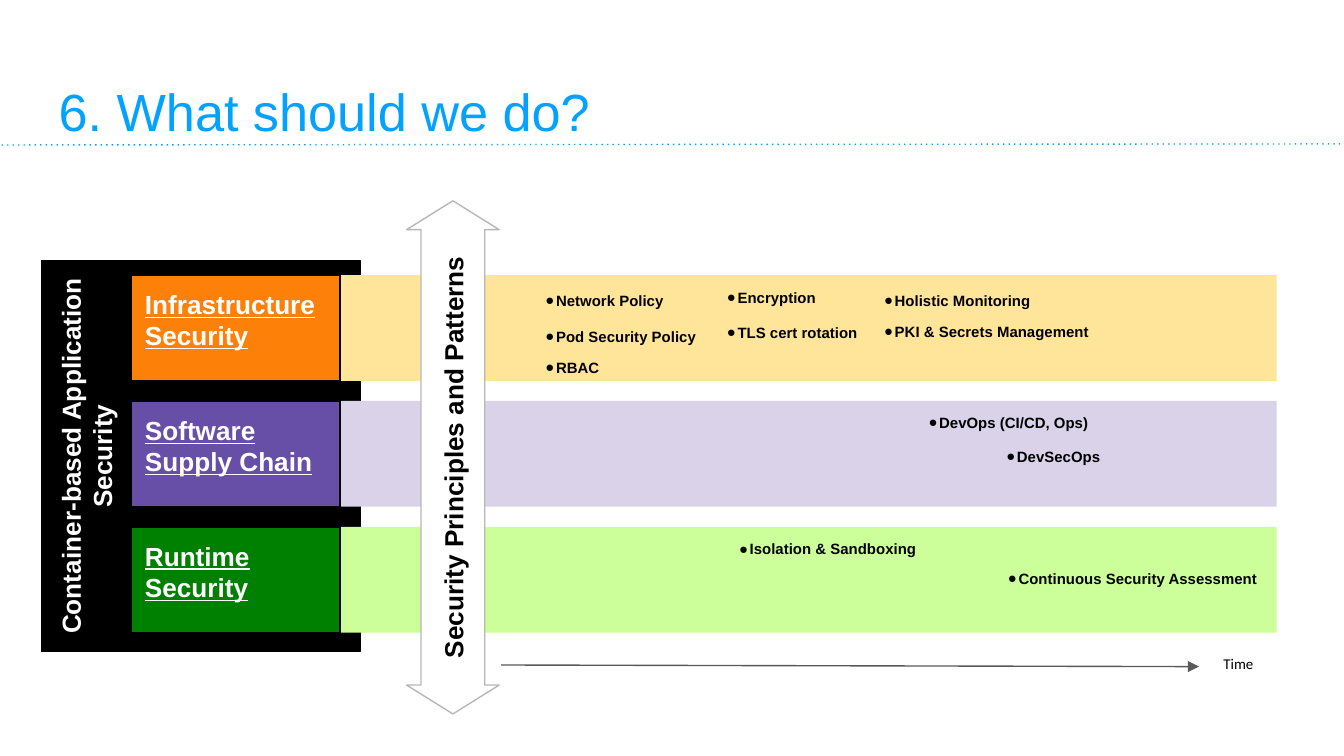
from lxml import etree
from pptx import Presentation
from pptx.dml.color import RGBColor
from pptx.enum.shapes import MSO_CONNECTOR, MSO_SHAPE
from pptx.enum.text import MSO_ANCHOR, PP_ALIGN
from pptx.oxml.ns import qn
from pptx.util import Cm, Pt

RECT, ARROW = MSO_SHAPE.RECTANGLE, MSO_SHAPE.LEFT_RIGHT_ARROW
STRAIGHT = MSO_CONNECTOR.STRAIGHT
TOP, MIDDLE = MSO_ANCHOR.TOP, MSO_ANCHOR.MIDDLE
LEFT, CENTER = PP_ALIGN.LEFT, PP_ALIGN.CENTER


def rgb(value):
    return RGBColor.from_string(value)


def write(s, text, size, color, bold=True, align=LEFT, anchor=TOP,
          inset=0.25, font="Arial"):
    """Put one formatted paragraph in a shape and return it."""
    tf = s.text_frame
    tf.text = text
    tf.word_wrap = True
    tf.vertical_anchor = anchor
    tf.margin_left = tf.margin_right = Cm(inset)
    tf.margin_top = tf.margin_bottom = Cm(inset)
    p = tf.paragraphs[0]
    p.alignment = align
    r = p.runs[0]
    r.font.name, r.font.size, r.font.bold = font, Pt(size), bold
    r.font.color.rgb = rgb(color)
    return p


prs = Presentation()
prs.slide_width, prs.slide_height = Cm(25.4), Cm(14.29)
slide = prs.slides.add_slide(prs.slide_layouts[6])
shapes = slide.shapes

# Dotted title rule and time axis
for x1, y1, x2, y2, color, tag, attrs in [
    (0.03, 2.74, 25.37, 2.72, "04A2FF", "a:prstDash", {"val": "dot"}),
    (9.47, 12.57, 22.66, 12.6, "595959", "a:tailEnd", {"type": "triangle"}),
]:
    s = shapes.add_connector(STRAIGHT, Cm(x1), Cm(y1), Cm(x2), Cm(y2))
    s.line.color.rgb = rgb(color)
    s.line.width = Pt(0.75)
    etree.SubElement(s.line._get_or_add_ln(), qn(tag), attrs)
    etree.SubElement(s._element.spPr, qn("a:effectLst"))

# Title
s = shapes.add_textbox(Cm(0.86), Cm(1.24), Cm(23.67), Cm(1.6))
write(s, "6. What should we do?", 28, "04A2FF", bold=False)

# Backdrop, bands with their labels, and the vertical arrow
blocks = [(RECT, 0.1, 5.61, 7.39, 6.02, "000000", "000000", 270,
           "Container-based Application Security")]
layers = [
    ("Infrastructure Security", "FD8008", "FFE599"),
    ("Software Supply Chain", "674EA7", "D9D2E9"),
    ("Runtime Security", "008000", "CCFF99"),
]
for i, (label, dark, light) in enumerate(layers):
    top = 5.2 + 2.38 * i
    blocks.append((RECT, 6.45, top, 17.68, 2, light, None, 0, ""))
    blocks.append((RECT, 2.49, top, 3.94, 2, dark, "000000", 0, label))
blocks.append((ARROW, 3.71, 7.77, 9.7, 1.75, "FFFFFF", "B7B7B7", 270,
               "Security Principles and Patterns"))

for kind, x, y, w, h, fill, line, rotation, text in blocks:
    s = shapes.add_shape(kind, Cm(x), Cm(y), Cm(w), Cm(h))
    s.shadow.inherit = False
    s.rotation = rotation
    s.fill.solid()
    s.fill.fore_color.rgb = rgb(fill)
    if line:
        s.line.color.rgb = rgb(line)
        s.line.width = Pt(0.75)
    else:
        s.line.fill.background()
    if kind == ARROW:
        s.adjustments[0], s.adjustments[1] = 0.688, 0.312
        write(s, text, 14, "000000", align=CENTER, anchor=MIDDLE)
    elif text:
        p = write(s, text, 14, "FFFFFF", align=CENTER if rotation else LEFT)
        p.runs[0].font.underline = not rotation

# Practices placed along the time axis
practices = [
    ("Network Policy", 10.21, 5.28, 3.02),
    ("Pod Security Policy", 10.21, 5.97, 3.3),
    ("RBAC", 10.21, 6.55, 1.63),
    ("Encryption", 13.64, 5.23, 3.2),
    ("TLS cert rotation", 13.64, 5.89, 3.02),
    ("Holistic Monitoring", 16.61, 5.28, 3.2),
    ("PKI & Secrets Management", 16.61, 5.87, 4.34),
    ("DevOps (CI/CD, Ops)", 17.45, 7.59, 3.43),
    ("DevSecOps", 18.92, 8.23, 2.57),
    ("Isolation & Sandboxing", 13.87, 9.98, 3.76),
    ("Continuous Security Assessment", 18.95, 10.54, 5.21),
]
for text, x, y, w in practices:
    s = shapes.add_textbox(Cm(x), Cm(y), Cm(w), Cm(0.79))
    p = write(s, text, 8, "000000", anchor=MIDDLE, inset=0.1)
    pPr = p._p.get_or_add_pPr()
    pPr.set("marL", str(Cm(0.2)))
    pPr.set("indent", str(Cm(-0.23)))
    etree.SubElement(pPr, qn("a:buFont"), {"typeface": "Arial"})
    etree.SubElement(pPr, qn("a:buChar"), {"char": "●"})

# Axis caption
s = shapes.add_textbox(Cm(22.91), Cm(12.37), Cm(0.99), Cm(0.53))
write(s, "Time", 8, "000000", bold=False, align=CENTER, inset=0, font="Calibri")

prs.save("out.pptx")
